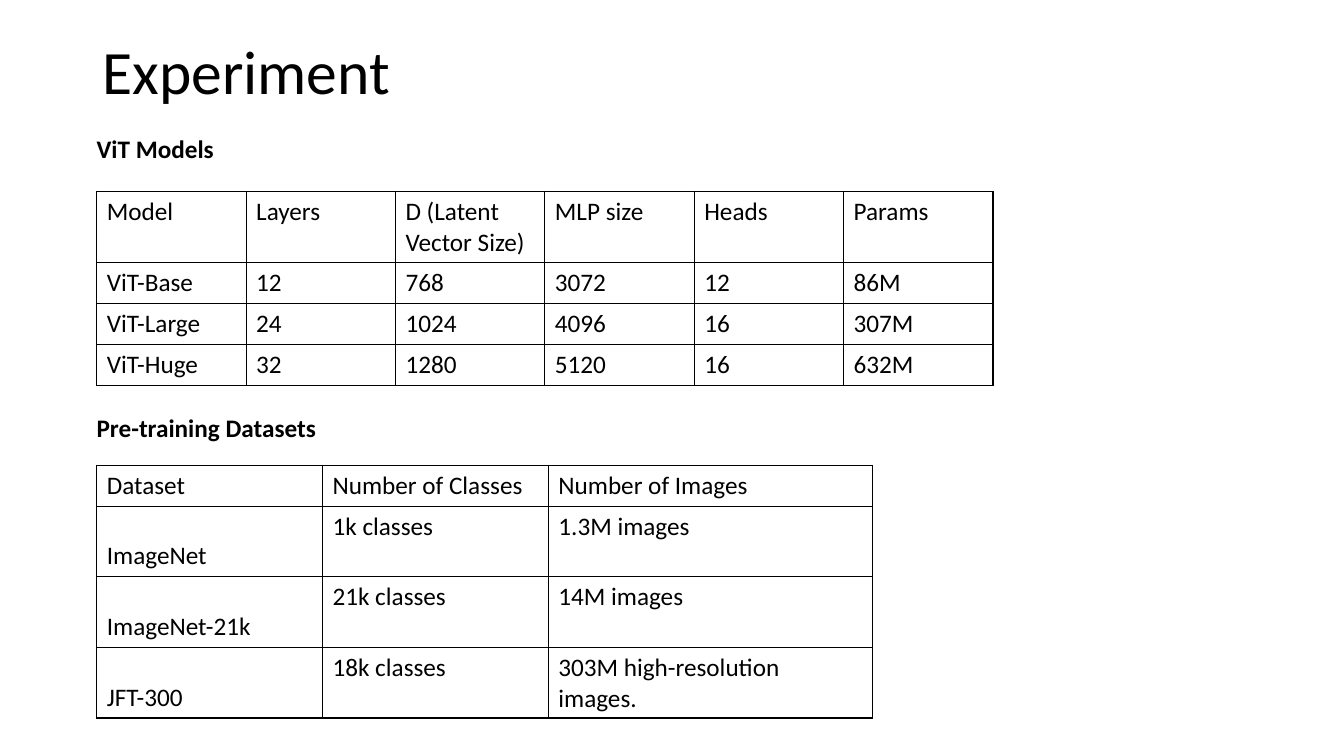
from lxml.etree import fromstring
from pptx import Presentation
from pptx.dml.color import RGBColor
from pptx.enum.text import MSO_ANCHOR
from pptx.oxml.ns import nsdecls
from pptx.util import Pt

INK = "000000"
LEFT = 69.1
SHORT, TALL = 29.3, 50.4  # row heights for one and two lines of text


def color(code):
    return RGBColor.from_string(code)


class Deck:
    font = "Calibri"
    size = 18

    def __init__(self, width, height):
        self.prs = Presentation()
        self.prs.slide_width, self.prs.slide_height = Pt(width), Pt(height)
        self.slide = self.prs.slides.add_slide(self.prs.slide_layouts[6])

    def style(self, frame, size=None, bold=False):
        for para in frame.paragraphs:
            for run in para.runs:
                run.font.name = self.font
                run.font.size = Pt(size or self.size)
                run.font.bold = bold
                run.font.color.rgb = color(INK)

    def text(self, words, left, top, width, height, size=None, bold=False):
        box = self.slide.shapes.add_textbox(Pt(left), Pt(top), Pt(width), Pt(height))
        frame = box.text_frame
        frame.word_wrap = True
        frame.text = words
        self.style(frame, size, bold)
        return frame

    def border(self, cell):
        """Draw a thin line on all four sides of a cell."""
        props = cell._tc.get_or_add_tcPr()
        for spot, side in enumerate("LRTB"):
            props.insert(spot, fromstring(
                f'<a:ln{side} {nsdecls("a")} w="{Pt(1)}"><a:solidFill>'
                f'<a:srgbClr val="{INK}"/></a:solidFill></a:ln{side}>'))

    def table(self, rows, left, top, widths, heights):
        frame = self.slide.shapes.add_table(
            len(rows), len(widths), Pt(left), Pt(top),
            Pt(sum(widths)), Pt(sum(heights)))
        grid = frame.table
        grid.first_row = grid.horz_banding = False
        for col, width in zip(grid.columns, widths):
            col.width = Pt(width)
        for row, height, words in zip(grid.rows, heights, rows):
            row.height = Pt(height)
            for cell, word in zip(row.cells, words):
                cell.text_frame.text = word
                self.style(cell.text_frame)
                cell.fill.background()
                self.border(cell)
        return grid


def main():
    deck = Deck(960, 540)

    title = deck.text("Experiment", 66.2, 0.7, 828, 104.4, size=44)
    title.vertical_anchor = MSO_ANCHOR.MIDDLE
    title.paragraphs[0].line_spacing = 0.9

    deck.text("ViT Models", 61.9, 91.4, 164.9, 29, bold=True)
    models = [
        ("Model", "Layers", "D (Latent Vector Size)", "MLP size", "Heads", "Params"),
        ("ViT-Base", "12", "768", "3072", "12", "86M"),
        ("ViT-Large", "24", "1024", "4096", "16", "307M"),
        ("ViT-Huge", "32", "1280", "5120", "16", "632M"),
    ]
    deck.table(models, LEFT, 136.8, [106.7] * 6, [TALL] + [SHORT] * 3)

    deck.text("Pre-training Datasets", 61.9, 290.9, 182.2, 29, bold=True)
    sets = [
        ("Dataset", "Number of Classes", "Number of Images"),
        ("ImageNet", "1k classes", "1.3M images"),
        ("ImageNet-21k", "21k classes", "14M images"),
        ("JFT-300", "18k classes", "303M high-resolution images."),
    ]
    grid = deck.table(sets, LEFT, 332.3, [161.3, 161.3, 231.4], [SHORT] + [TALL] * 3)
    for row in range(1, len(sets)):
        grid.cell(row, 0).vertical_anchor = MSO_ANCHOR.BOTTOM

    deck.prs.save("out.pptx")


if __name__ == "__main__":
    main()
